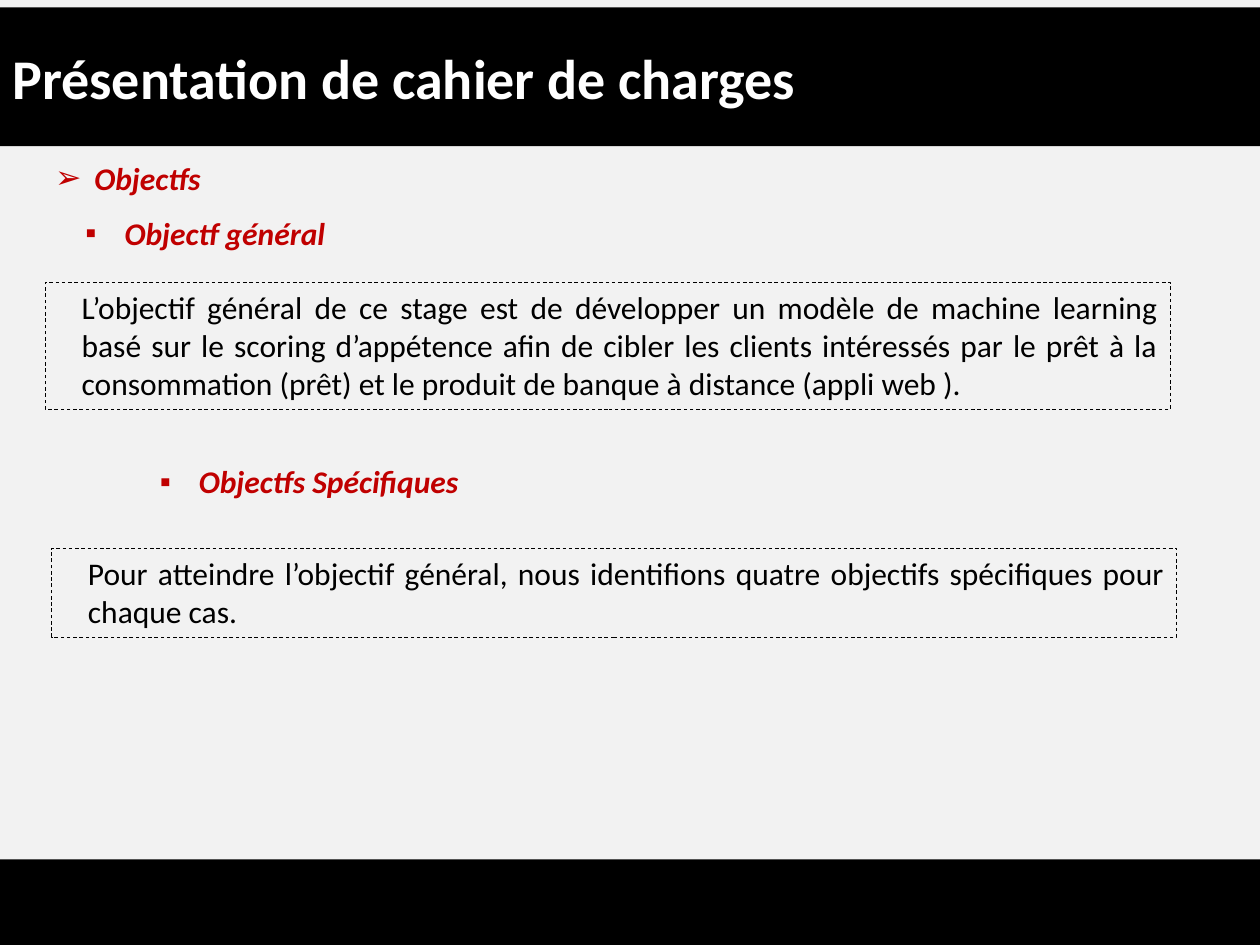
from lxml.etree import SubElement
from pptx import Presentation
from pptx.dml.color import RGBColor
from pptx.enum.dml import MSO_LINE_DASH_STYLE as Dash
from pptx.enum.shapes import MSO_SHAPE as Shape
from pptx.enum.text import MSO_ANCHOR as Anchor, PP_ALIGN as Align
from pptx.oxml.ns import qn
from pptx.util import Inches, Pt

W, H = 10, 7.5
FONT = "Calibri"
COLORS = {"paper": "F2F2F2", "band": "000000", "title": "FFFFFF",
          "heading": "C00000", "body": "000000"}

TITLE = "Présentation de cahier de charges"
TITLE_TOP, TITLE_H, FOOTER_TOP = 0.06, 1.1, 6.82

# left, top, bullet, text
HEADINGS = [
    (0.15, 1.21, "➢", "Objectfs"),
    (0.39, 1.65, "▪", "Objectf général"),
    (0.98, 3.62, "▪", "Objectfs Spécifiques"),
]
HEADING_W = 4.37

# left, top, number of lines, text
FRAMES = [
    (0.36, 2.24, 3,
     "L’objectif général de ce stage est de développer un modèle de machine "
     "learning basé sur le scoring d’appétence afin de cibler les clients "
     "intéressés par le prêt à la consommation (prêt) et le produit de banque "
     "à distance (appli web )."),
    (0.41, 4.35, 2,
     "Pour atteindre l’objectif général, nous identifions quatre objectifs "
     "spécifiques pour chaque cas."),
]
FRAME_W = 8.93


def rgb(name):
    return RGBColor.from_string(COLORS[name])


def text_height(lines):
    """Height of a box holding this many 18 pt lines, insets included."""
    return 0.1 + 0.303 * lines


def add_box(left, top, width, height, fill, dashed=False):
    sp = s.shapes.add_shape(Shape.RECTANGLE, Inches(left), Inches(top),
                            Inches(width), Inches(height))
    sp.shadow.inherit = False
    sp.fill.solid()
    sp.fill.fore_color.rgb = rgb(fill)
    if dashed:
        sp.line.color.rgb = rgb("body")
        sp.line.width = Pt(0.5)
        sp.line.dash_style = Dash.DASH
    else:
        sp.line.fill.background()
    return sp


def write(sp, text, color="body", size=18, bold=False, italic=False,
          align=Align.LEFT, anchor=Anchor.TOP, margin=0, indent=0, bullet=None):
    tf = sp.text_frame
    tf.word_wrap = True
    tf.vertical_anchor = anchor
    p = tf.paragraphs[0]
    p.alignment = align
    pPr = p._p.get_or_add_pPr()
    pPr.set("marL", str(Inches(margin)))
    pPr.set("indent", str(Inches(indent)))
    if bullet:
        SubElement(pPr, qn("a:buFont"), typeface="Arial")
        SubElement(pPr, qn("a:buChar"), char=bullet)
    r = p.add_run()
    r.text = text
    f = r.font
    f.name, f.size, f.bold, f.italic = FONT, Pt(size), bold, italic
    f.color.rgb = rgb(color)


prs = Presentation()
prs.slide_width, prs.slide_height = Inches(W), Inches(H)
s = prs.slides.add_slide(prs.slide_layouts[6])
s.background.fill.solid()
s.background.fill.fore_color.rgb = rgb("paper")

write(add_box(0, TITLE_TOP, W, TITLE_H, "band"), TITLE, color="title",
      size=32, bold=True, anchor=Anchor.MIDDLE)
add_box(0, FOOTER_TOP, W, H - FOOTER_TOP, "band")

for left, top, bullet, text in HEADINGS:
    write(add_box(left, top, HEADING_W, text_height(1), "paper"), text,
          color="heading", bold=True, italic=True,
          margin=0.5, indent=-0.31, bullet=bullet)

for left, top, lines, text in FRAMES:
    write(add_box(left, top, FRAME_W, text_height(lines), "paper", dashed=True),
          text, align=Align.JUSTIFY, margin=0.19)

prs.save("out.pptx")
